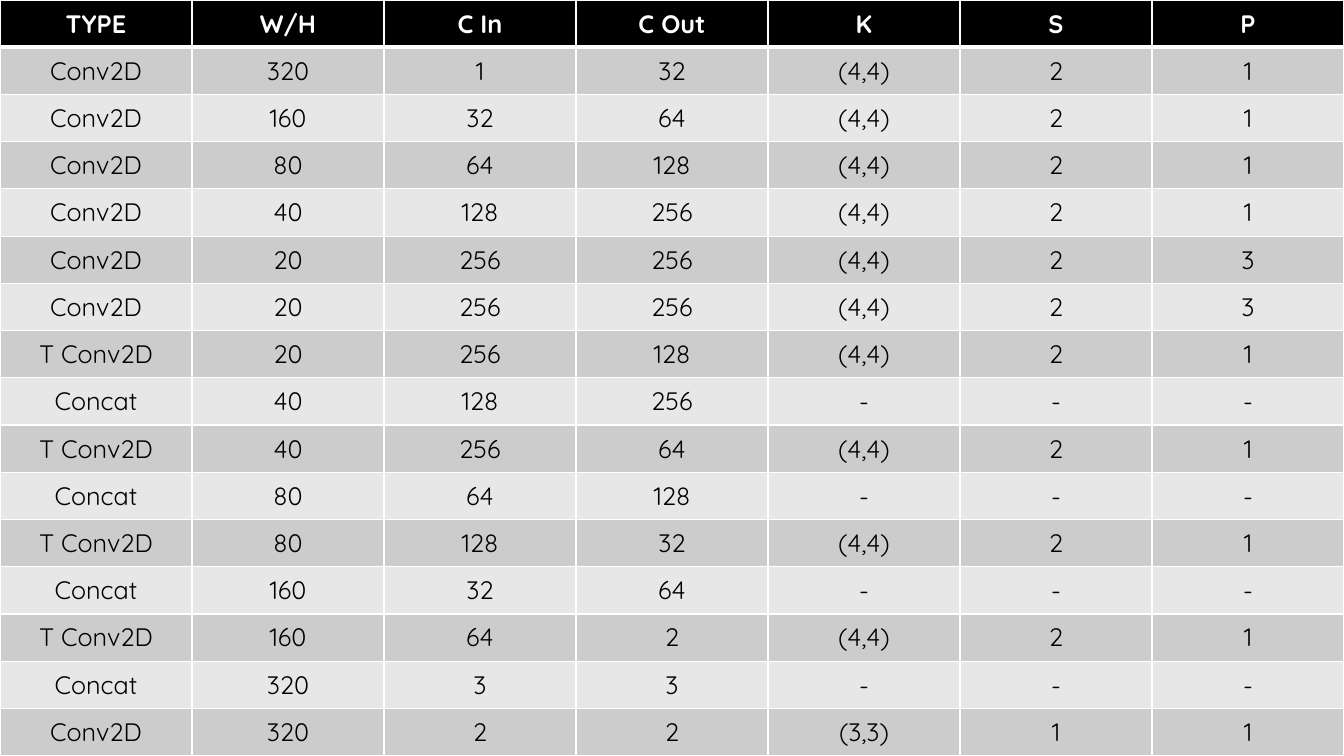
from lxml.etree import SubElement
from pptx import Presentation
from pptx.dml.color import RGBColor
from pptx.enum.text import MSO_ANCHOR, PP_ALIGN
from pptx.oxml.ns import qn
from pptx.util import Pt

PX = 9525  # EMU in one px
WIDE, HIGH = 1280, 720
FONT = "Quicksand"
COLORS = {"black": "000000", "white": "FFFFFF",
          "dark": "CCCCCC", "light": "E7E7E7"}

HEADS = ["TYPE", "W/H", "C In", "C Out", "K", "S", "P"]
LAYERS = [
    ["Conv2D", "320", "1", "32", "(4,4)", "2", "1"],
    ["Conv2D", "160", "32", "64", "(4,4)", "2", "1"],
    ["Conv2D", "80", "64", "128", "(4,4)", "2", "1"],
    ["Conv2D", "40", "128", "256", "(4,4)", "2", "1"],
    ["Conv2D", "20", "256", "256", "(4,4)", "2", "3"],
    ["Conv2D", "20", "256", "256", "(4,4)", "2", "3"],
    ["T Conv2D", "20", "256", "128", "(4,4)", "2", "1"],
    ["Concat", "40", "128", "256", "-", "-", "-"],
    ["T Conv2D", "40", "256", "64", "(4,4)", "2", "1"],
    ["Concat", "80", "64", "128", "-", "-", "-"],
    ["T Conv2D", "80", "128", "32", "(4,4)", "2", "1"],
    ["Concat", "160", "32", "64", "-", "-", "-"],
    ["T Conv2D", "160", "64", "2", "(4,4)", "2", "1"],
    ["Concat", "320", "3", "3", "-", "-", "-"],
    ["Conv2D", "320", "2", "2", "(3,3)", "1", "1"],
]


def color(name):
    return RGBColor.from_string(COLORS[name])


def add_edges(cell, top, base):
    """Draw white borders, with the top and base widths in points."""
    props = cell._tc.get_or_add_tcPr()
    for side, width in (("L", 1), ("R", 1), ("T", top), ("B", base)):
        line = SubElement(props, qn("a:ln" + side), w=str(Pt(width)))
        fill = SubElement(line, qn("a:solidFill"))
        SubElement(fill, qn("a:srgbClr"), val=COLORS["white"])


def style_cell(cell, text, fill, ink, bold):
    cell.fill.solid()
    cell.fill.fore_color.rgb = color(fill)
    cell.vertical_anchor = MSO_ANCHOR.MIDDLE
    para = cell.text_frame.paragraphs[0]
    para.text = text
    para.alignment = PP_ALIGN.CENTER
    font = para.runs[0].font
    font.name = FONT
    font.size = Pt(18)
    font.bold = bold
    font.color.rgb = color(ink)


def add_grid(slide, rows):
    frame = slide.shapes.add_table(len(rows), len(rows[0]),
                                   0, 0, WIDE * PX, HIGH * PX)
    for r, row in enumerate(rows):
        head = r == 0
        fill = "black" if head else "dark" if r % 2 else "light"
        for c, text in enumerate(row):
            cell = frame.table.cell(r, c)
            # A thick rule parts the header from the layers
            add_edges(cell, 3 if r == 1 else 1, 3 if head else 1)
            style_cell(cell, text, fill, "white" if head else "black", head)


def main():
    deck = Presentation()
    deck.slide_width = WIDE * PX
    deck.slide_height = HIGH * PX
    slide = deck.slides.add_slide(deck.slide_layouts[6])

    # Black backdrop
    back = slide.background.fill
    back.solid()
    back.fore_color.rgb = color("black")

    # Table of network layers
    add_grid(slide, [HEADS] + LAYERS)
    deck.save("out.pptx")


if __name__ == "__main__":
    main()
